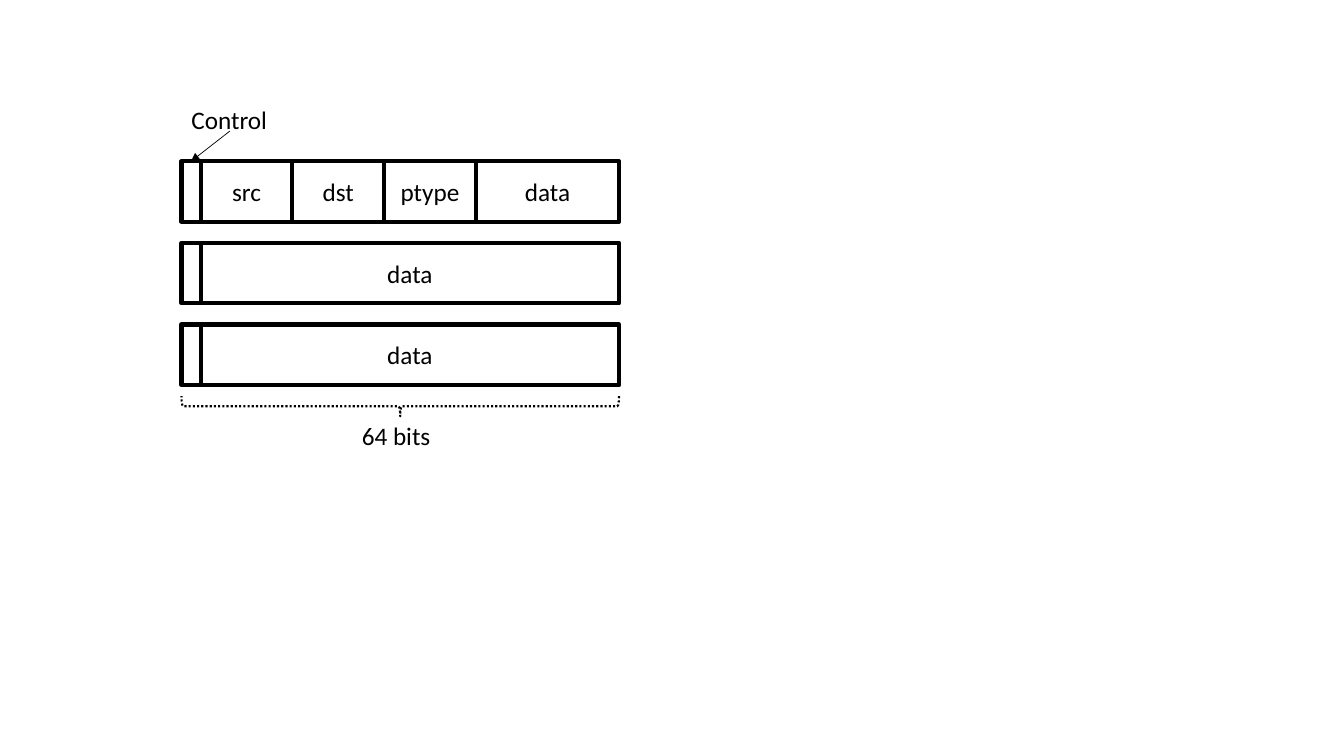
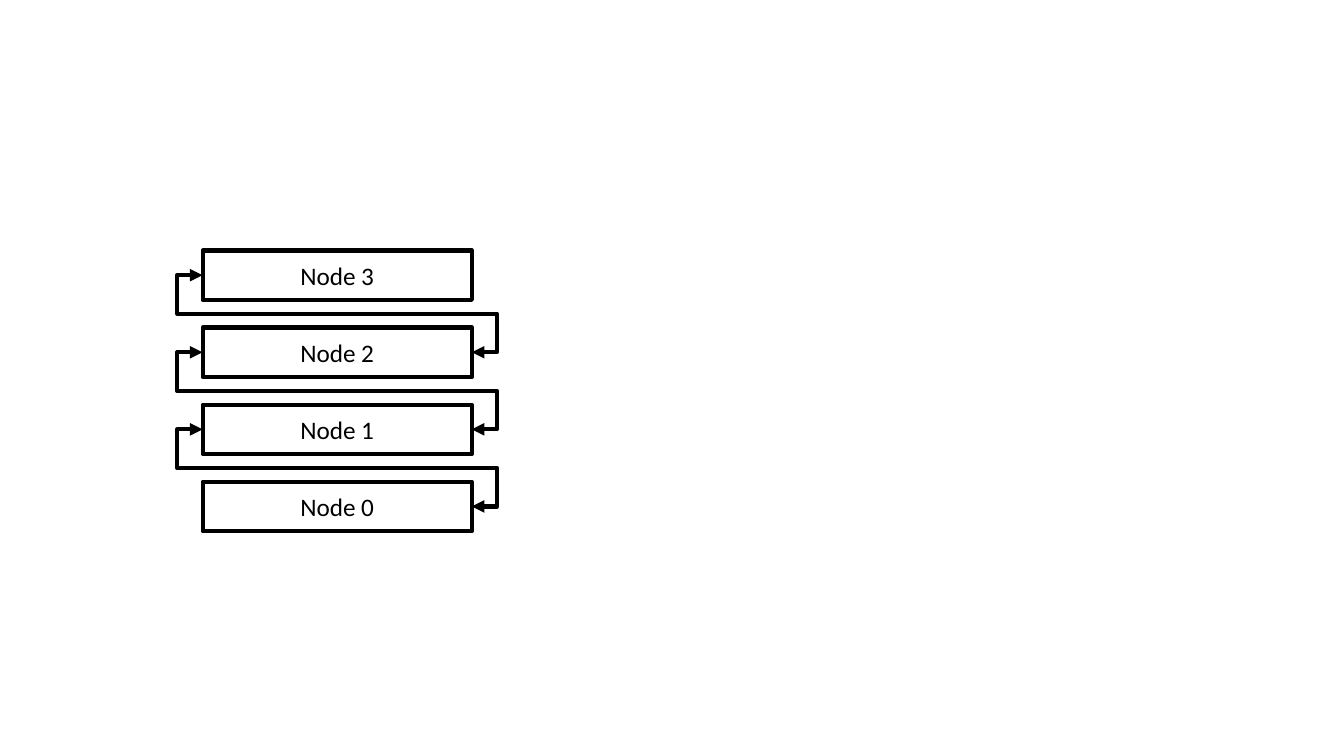
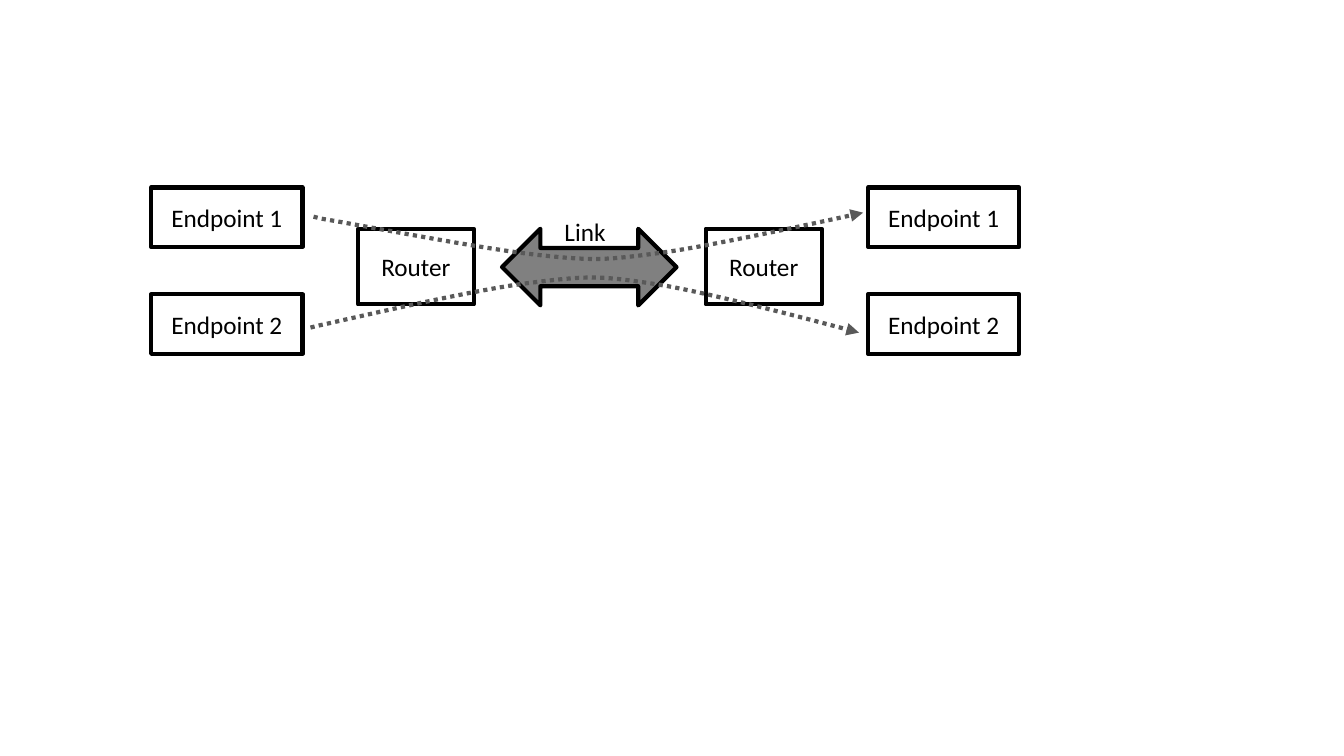
"""Network diagrams: packet format, node chain and shared router link."""
from itertools import pairwise

from pptx import Presentation
from pptx.dml.color import RGBColor
from pptx.enum.dml import MSO_LINE as Dash
from pptx.enum.shapes import MSO_CONNECTOR as Link, MSO_SHAPE as Shape
from pptx.enum.text import MSO_ANCHOR as Anchor, MSO_AUTO_SIZE as AutoSize, PP_ALIGN as Align
from pptx.oxml.ns import qn
from pptx.util import Inches, Pt
from lxml import etree

BLACK = RGBColor(0x00, 0x00, 0x00)
WHITE = RGBColor(0xFF, 0xFF, 0xFF)
GRAY = RGBColor(0x80, 0x80, 0x80)
DARK_GRAY = RGBColor(0x59, 0x59, 0x59)
TOP, LEFT, RIGHT = 0, 1, 3


def curve_points(start, curves, steps=16):
    """Return points along a chain of cubic curves, without the start."""
    points = []
    for curve in curves:
        corners = (start, *curve)
        for step in range(1, steps + 1):
            t = step / steps
            weights = ((1 - t) ** 3, 3 * t * (1 - t) ** 2, 3 * t * t * (1 - t), t ** 3)
            points.append(tuple(sum(w * corner[axis] for w, corner in zip(weights, corners))
                                for axis in (0, 1)))
        start = curve[-1]
    return points


class Diagram:
    """Holds the shared style and the slide being drawn."""

    font, size, stroke = "Calibri", 18, 3

    def __init__(self):
        """Open an empty widescreen presentation."""
        self.deck = Presentation()
        self.deck.slide_width, self.deck.slide_height = Inches(13.33), Inches(7.5)
        self.slide = None

    def new_slide(self):
        """Start the next blank slide."""
        self.slide = self.deck.slides.add_slide(self.deck.slide_layouts[6])

    def outline(self, item, color=BLACK, width=stroke, dash=None, arrows=()):
        """Style the line of a shape or connector."""
        item.line.color.rgb = color
        item.line.width = Pt(width)
        if dash:
            item.line.dash_style = dash
        for end in arrows:
            etree.SubElement(item.element.spPr.find(qn("a:ln")), qn(end), type="triangle")

    def add_text(self, frame, text):
        """Add one run in the shared text style."""
        run = frame.paragraphs[0].add_run()
        run.text = text
        run.font.name, run.font.size = self.font, Pt(self.size)
        run.font.color.rgb = BLACK

    def shape(self, kind, left, top, width, height, fill=WHITE, **line):
        """Draw a preset shape."""
        shape = self.slide.shapes.add_shape(
            kind, Inches(left), Inches(top), Inches(width), Inches(height))
        shape.shadow.inherit = False
        if fill is None:
            shape.fill.background()
        else:
            shape.fill.solid()
            shape.fill.fore_color.rgb = fill
        if line:
            self.outline(shape, width=line["stroke"], dash=line["dash"])
        else:
            self.outline(shape)
        return shape

    def box(self, left, top, width, height, text=""):
        """Draw a rectangle with a centred label."""
        box = self.shape(Shape.RECTANGLE, left, top, width, height)
        if text:
            box.text_frame.vertical_anchor = Anchor.MIDDLE
            box.text_frame.paragraphs[0].alignment = Align.CENTER
            self.add_text(box.text_frame, text)
        return box

    def label(self, left, top, width, text):
        """Place a single line of free text."""
        frame = self.slide.shapes.add_textbox(
            Inches(left), Inches(top), Inches(width), Inches(0.4)).text_frame
        frame.word_wrap = False
        frame.auto_size = AutoSize.SHAPE_TO_FIT_TEXT
        self.add_text(frame, text)

    def connector(self, kind, start, end, **line):
        """Draw a connector without a shadow."""
        connector = self.slide.shapes.add_connector(kind, *map(Inches, (*start, *end)))
        self.outline(connector, **line)
        etree.SubElement(connector.element.spPr, qn("a:effectLst"))
        return connector

    def loop(self, lower, upper):
        """Join the lower box's right side to the upper box's left side."""
        loop = self.connector(Link.ELBOW, (4.68, 5), (2.01, 4.2),
                              arrows=("a:headEnd", "a:tailEnd"))
        loop.begin_connect(lower, RIGHT)
        loop.end_connect(upper, LEFT)
        geometry = loop.element.spPr.find(qn("a:prstGeom"))
        geometry.set("prst", "bentConnector5")
        bends = geometry.find(qn("a:avLst"))
        for number, value in enumerate((-9400, 50000, 109400), 1):
            etree.SubElement(bends, qn("a:gd"), name=f"adj{number}", fmla=f"val {value}")

    def flow(self, start, bend, curves):
        """Draw a dotted curved arrow."""
        builder = self.slide.shapes.build_freeform(*map(Inches, start))
        points = [bend, *curve_points(bend, curves)]
        builder.add_line_segments([(Inches(x), Inches(y)) for x, y in points], close=False)
        flow = builder.convert_to_shape()
        flow.shadow.inherit = False
        flow.fill.background()
        self.outline(flow, DARK_GRAY, dash=Dash.ROUND_DOT, arrows=("a:tailEnd",))


def draw_packet(diagram):
    """Draw the three words of a packet."""
    diagram.new_slide()
    header = [("", 0.19), ("src", 0.91), ("dst", 0.91), ("ptype", 0.91), ("data", 1.42)]
    body = [("", 0.19), ("data", 4.15)]
    controls = []
    for row, fields in enumerate((header, body, body)):
        left = 1.8
        for name, width in fields:
            field = diagram.box(left, 1.6 + 0.81 * row, width, 0.6, name)
            if not name:
                controls.append(field)
            left += width
    diagram.label(1.8, 0.99, 0.96, "Control")
    pointer = diagram.connector(Link.STRAIGHT, (2.28, 1.3), (1.89, 1.6),
                                width=0.5, arrows=("a:tailEnd",))
    pointer.end_connect(controls[0], TOP)
    brace = diagram.shape(Shape.LEFT_BRACE, 3.87, 1.86, 0.2, 4.34, fill=None,
                          stroke=1.5, dash=Dash.ROUND_DOT)
    brace.rotation = 270
    diagram.label(3.49, 4.12, 0.89, "64 bits")


def draw_chain(diagram):
    """Draw the chain of nodes."""
    diagram.new_slide()
    nodes = [diagram.box(2.01, 4.78 - 0.765 * number, 2.67, 0.49, f"Node {number}")
             for number in range(4)]
    for lower, upper in pairwise(nodes):
        diagram.loop(lower, upper)


def draw_link(diagram):
    """Draw two endpoint pairs sharing one link."""
    diagram.new_slide()
    for endpoint_left, router_left in ((1.5, 3.55), (8.61, 7)):
        for number, top in enumerate((1.86, 2.92), 1):
            diagram.box(endpoint_left, top, 1.5, 0.59, f"Endpoint {number}")
        diagram.box(router_left, 2.27, 1.15, 0.75, "Router")
    diagram.shape(Shape.LEFT_RIGHT_ARROW, 4.98, 2.27, 1.73, 0.76, fill=GRAY)
    diagram.flow((3.11, 2.15), (3.19, 2.17), [
        ((3.56, 2.23), (4.78, 2.47), (5.34, 2.53)),
        ((5.9, 2.59), (6.01, 2.58), (6.54, 2.51)),
        ((7.08, 2.44), (8.56, 2.11), (8.56, 2.11))])
    diagram.flow((3.08, 3.25), (3.16, 3.23), [
        ((3.53, 3.15), (4.75, 2.86), (5.31, 2.8)),
        ((5.86, 2.73), (5.98, 2.74), (6.51, 2.82)),
        ((7.05, 2.9), (8.52, 3.3), (8.52, 3.3))])
    diagram.label(5.5, 2.1, 0.61, "Link")


def main():
    """Build and save the slides."""
    diagram = Diagram()
    for draw in (draw_packet, draw_chain, draw_link):
        draw(diagram)
    diagram.deck.save("out.pptx")


if __name__ == "__main__":
    main()
